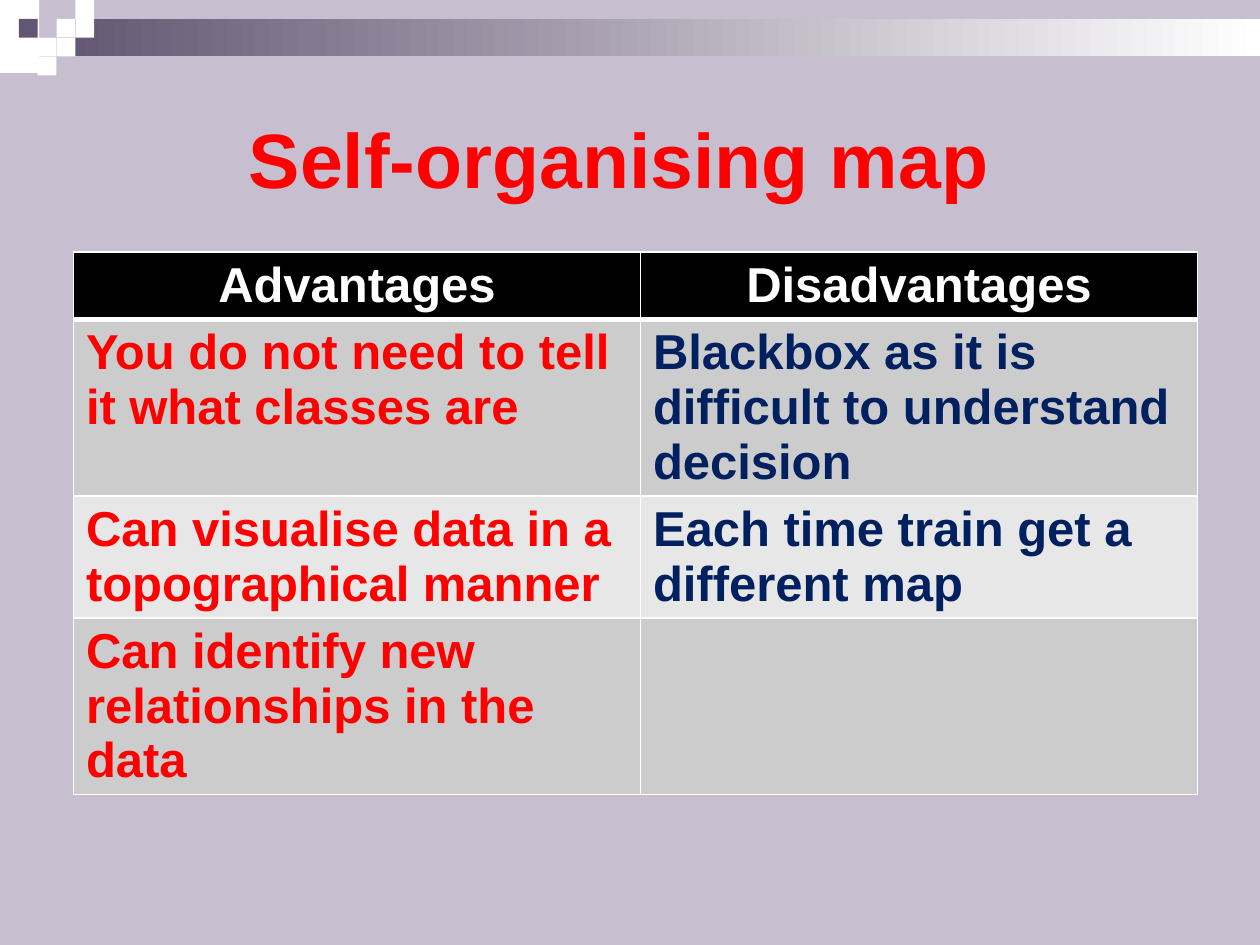
from dataclasses import dataclass

from lxml import etree
from pptx import Presentation
from pptx import util as u
from pptx.dml.color import RGBColor
from pptx.enum import shapes, text
from pptx.oxml import ns


@dataclass(frozen=True)
class Theme:
    font: str = "Arial"
    back: str = "C7BFCF"
    dark: str = "635672"
    white: str = "FFFFFF"
    head: str = "000000"
    bands: tuple = ("CCCCCC", "E7E7E7")
    red: str = "FF0000"
    navy: str = "002060"
    title: int = 44
    body: int = 28
    line: int = 1
    rule: int = 3


THEME = Theme()
TILE = 0.38  # cm, side of one square of the corner pattern
WHITES = [(3, 1), (4, 0), (4, 1), (2, 2), (3, 2), (2, 3)]  # column, row
DARKS = [(1, 1)]
ROWS = [
    ("Advantages", "Disadvantages"),
    ("You do not need to tell it what classes are",
     "Blackbox as it is difficult to understand decision"),
    ("Can visualise data in a topographical manner",
     "Each time train get a different map"),
    ("Can identify new relationships in the data", ""),
]
WIDTHS = (11.43, 11.23)
HEIGHTS = (1.35, 3.56, 2.46, 3.56)


def rgb(code):
    return RGBColor.from_string(code)


def cms(*nums):
    return [u.Cm(n) for n in nums]


def write(frame, words, size, color, align):
    para = frame.paragraphs[0]
    para.alignment = align
    run = para.add_run()
    run.text = words
    font = run.font
    font.name, font.size, font.bold = THEME.font, u.Pt(size), True
    font.color.rgb = rgb(color)


def block(slide, box, color):
    """Add a plain rectangle without outline or shadow."""
    rect = slide.shapes.add_shape(shapes.MSO_SHAPE.RECTANGLE, *cms(*box))
    rect.shadow.inherit = False
    rect.line.fill.background()
    rect.fill.solid()
    rect.fill.fore_color.rgb = rgb(color)
    return rect


def banner(slide, left, top, width):
    """Draw the fading bar and the squares at its left end."""
    block(slide, (left, top, 0.79, 1.47), THEME.white)
    start = 3 * TILE
    bar = block(slide, (left + start, top + TILE, width - start, 2 * TILE),
                THEME.dark)
    bar.fill.gradient()
    bar.fill.gradient_angle = 0
    for stop, color in zip(bar.fill.gradient_stops, (THEME.dark, THEME.white)):
        stop.color.rgb = rgb(color)
    for spots, color in ((WHITES, THEME.white), (DARKS, THEME.dark)):
        for col, row in spots:
            block(slide, (left + col * TILE, top + row * TILE, TILE, TILE), color)


def heading(slide, left, top, width, height):
    title = slide.shapes.title
    title.left, title.top, title.width, title.height = cms(
        left, top, width, height)
    frame = title.text_frame
    frame.word_wrap = True
    frame.vertical_anchor = text.MSO_ANCHOR.MIDDLE
    write(frame, "Self-organising map ", THEME.title, THEME.red,
          text.PP_ALIGN.CENTER)


def border(cell, sides):
    """Set borders from a mapping of side (L, R, T, B) to points."""
    props = cell._tc.get_or_add_tcPr()
    for spot, (side, size) in enumerate(sides.items()):
        line = etree.Element(ns.qn("a:ln" + side), w=str(u.Pt(size)))
        fill = etree.SubElement(line, ns.qn("a:solidFill"))
        etree.SubElement(fill, ns.qn("a:srgbClr"), val=THEME.white)
        props.insert(spot, line)


def grid(slide, left, top):
    frame = slide.shapes.add_table(
        len(ROWS), len(WIDTHS), *cms(left, top, sum(WIDTHS), sum(HEIGHTS)))
    table = frame.table
    for col, width in zip(table.columns, WIDTHS):
        col.width = u.Cm(width)
    for row, height in zip(table.rows, HEIGHTS):
        row.height = u.Cm(height)
    for r, row in enumerate(ROWS):
        for c, words in enumerate(row):
            cell = table.cell(r, c)
            cell.fill.solid()
            if r == 0:
                back, color = THEME.head, THEME.white
                align = text.PP_ALIGN.CENTER
            else:
                back = THEME.bands[(r - 1) % 2]
                color = (THEME.red, THEME.navy)[c]
                align = text.PP_ALIGN.LEFT
            cell.fill.fore_color.rgb = rgb(back)
            border(cell, {"L": THEME.line, "R": THEME.line,
                          "T": THEME.rule if r == 1 else THEME.line,
                          "B": THEME.rule if r == 0 else THEME.line})
            if words:
                write(cell.text_frame, words, THEME.body, color, align)


def main():
    deck = Presentation()
    deck.slide_width, deck.slide_height = cms(25.4, 19.05)
    slide = deck.slides.add_slide(deck.slide_layouts.get_by_name("Title Only"))
    back = slide.background.fill
    back.solid()
    back.fore_color.rgb = rgb(THEME.back)
    banner(slide, 0, 0, 25.4)
    heading(slide, 1.27, 1.27, 22.86, 3.81)
    grid(slide, 1.48, 5.08)
    deck.save("out.pptx")


if __name__ == "__main__":
    main()
